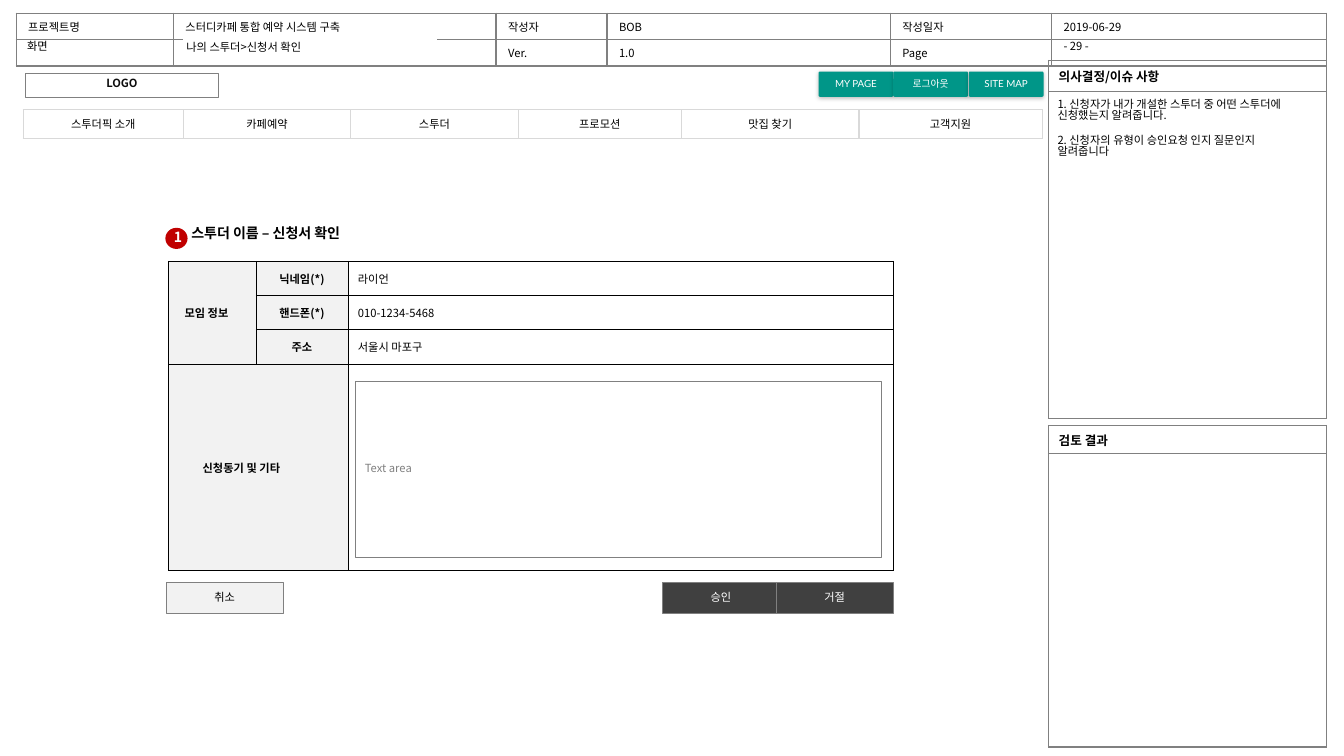
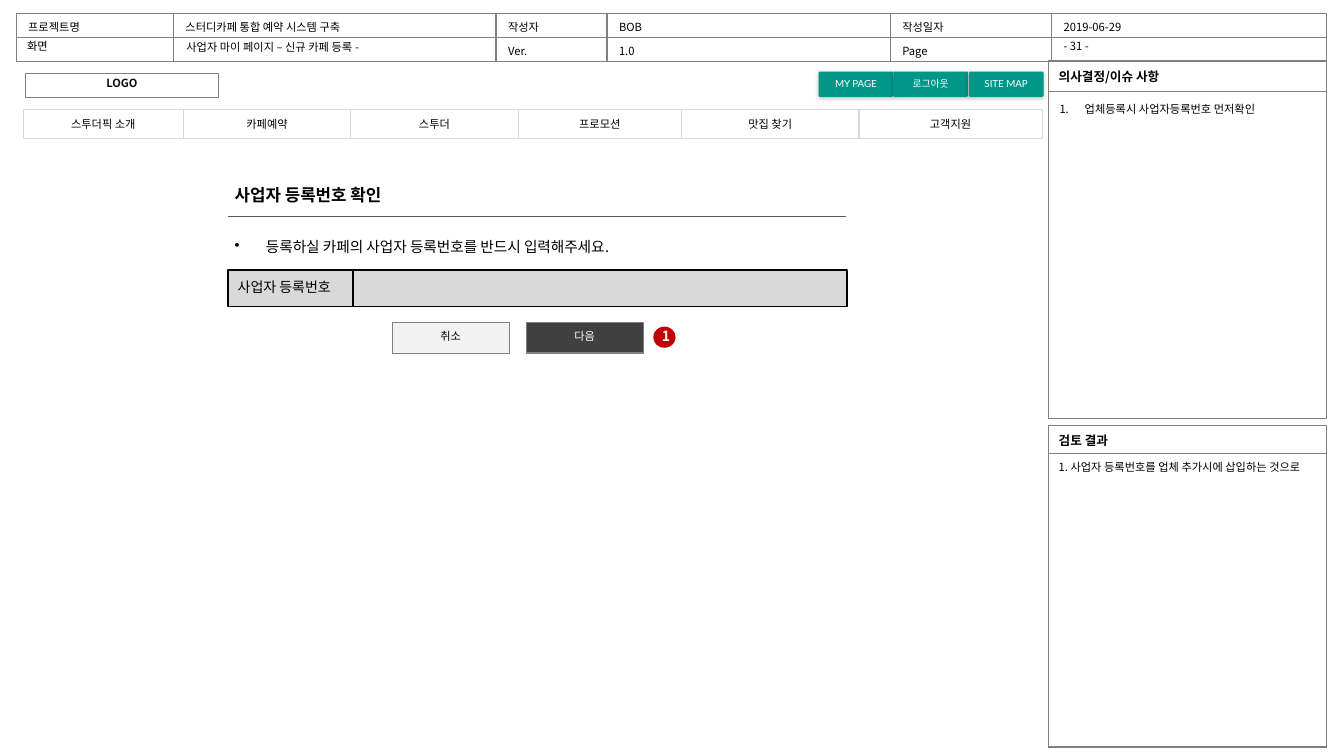
from lxml import etree
from pptx import Presentation
from pptx.dml.color import RGBColor
from pptx.enum.shapes import MSO_CONNECTOR, MSO_SHAPE
from pptx.enum.text import MSO_ANCHOR, PP_ALIGN
from pptx.oxml.ns import qn
from pptx.util import Emu, Pt

PX = 9144  # one px is a hundredth of an inch
KOREAN = "Noto Sans CJK KR"
COLORS = {
    "ink": "000000", "logo": "0D0D0D", "white": "FFFFFF", "gray": "808080",
    "rule": "595959", "dark": "404040", "field": "D9D9D9", "pale": "F2F2F2",
    "teal": "009688", "red": "C00000",
}
LEFT, CENTER, JUSTIFY = PP_ALIGN.LEFT, PP_ALIGN.CENTER, PP_ALIGN.JUSTIFY
TOP, MIDDLE = MSO_ANCHOR.TOP, MSO_ANCHOR.MIDDLE
TIGHT = 0.83  # line spacing outside tables
WIDE_INSET = (12, 5, 12, 5)
INSET = (10, 5, 10, 5)
HEADER_COLUMNS = (156, 320, 110, 281, 160, 273)
MENU_COLUMNS = (159, 166, 166, 162, 176, 182)
MENU = ("스투더픽 소개", "카페예약", "스투더", "프로모션", "맛집 찾기", "고객지원")


def px(*values):
    return [Emu(value * PX) for value in values]


def rgb(color):
    return RGBColor.from_string(COLORS[color])


# Text
def set_values(target, values):
    for name, value in values.items():
        setattr(target, name, value)


def write(para, text, size=8, color="ink", bold=False, font=KOREAN, align=LEFT,
          spacing=TIGHT, before=0):
    set_values(para, {"alignment": align, "line_spacing": spacing})
    if before:
        para.space_before = Pt(before)
    if not text:
        etree.SubElement(para._p, qn("a:endParaRPr"), sz=str(size * 100))
        return
    span = para.add_run()
    span.text = text
    set_values(span.font, {"size": Pt(size), "bold": bold, "name": font})
    span.font.color.rgb = rgb(color)
    east_asian = etree.SubElement(span.font._element, qn("a:ea"))
    east_asian.set("typeface", KOREAN)


def set_margins(target, inset):
    sides = ("margin_left", "margin_top", "margin_right", "margin_bottom")
    set_values(target, dict(zip(sides, px(*inset))))


def set_frame(box, anchor, inset=INSET):
    frame = box.text_frame
    set_values(frame, {"word_wrap": True, "vertical_anchor": anchor})
    set_margins(frame, inset)
    return frame.paragraphs[0]


def add_text(page, area, text, anchor=TOP, **style):
    box = page.shapes.add_textbox(*px(*area))
    para = set_frame(box, anchor)
    write(para, text, **style)
    return box


def add_bullet(para, indent, tag, **attributes):
    properties = para._p.get_or_add_pPr()
    properties.set("marL", str(indent * PX))
    properties.set("indent", str(-indent * PX))
    etree.SubElement(properties, qn(tag), **attributes)


def add_list_item(page, area, text, indent, tag, attributes, **style):
    box = page.shapes.add_textbox(*px(*area))
    para = set_frame(box, TOP)
    add_bullet(para, indent, tag, **attributes)
    write(para, text, **style)


# Shapes and lines
def add_box(page, area, text="", fill=None, line=None, width=0.25,
            kind=MSO_SHAPE.RECTANGLE, anchor=MIDDLE, inset=INSET, **style):
    box = page.shapes.add_shape(kind, *px(*area))
    box.shadow.inherit = False
    if fill:
        box.fill.solid()
        box.fill.fore_color.rgb = rgb(fill)
    else:
        box.fill.background()
    if line:
        box.line.color.rgb = rgb(line)
        box.line.width = Pt(width)
    else:
        box.line.fill.background()
    write(set_frame(box, anchor, inset), text, **{"align": CENTER, **style})
    return box


def add_line(page, start, end, color, width):
    line = page.shapes.add_connector(MSO_CONNECTOR.STRAIGHT, *px(*start, *end))
    line.line.color.rgb = rgb(color)
    line.line.width = Pt(width)
    etree.SubElement(line._element.spPr, qn("a:effectLst"))


def add_button(page, left, top, text, primary=True):
    fill, color = ("dark", "white") if primary else ("pale", "ink")
    add_box(page, (left, top, 116, 30), text, fill, "gray", color=color)


def add_marker(page, left, top, number):
    add_box(page, (left, top, 22, 21), number, "red", kind=MSO_SHAPE.OVAL,
            inset=(3, 0, 0, 0), size=10, color="white", bold=True)


def add_raised_button(page, left, text):
    box = add_box(page, (left, 71, 74, 25), text, "teal",
                  kind=MSO_SHAPE.ROUNDED_RECTANGLE, inset=(8, 5, 8, 5),
                  size=7, color="white", font="Lato")
    box.adjustments[0] = 0.05
    effects = box._element.spPr.find(qn("a:effectLst"))
    shadow = etree.SubElement(effects, qn("a:outerShdw"), blurRad=str(Pt(3)),
                              dist=str(Pt(1)), dir="5400000", rotWithShape="0")
    tint = etree.SubElement(shadow, qn("a:srgbClr"), val=COLORS["ink"])
    etree.SubElement(tint, qn("a:alpha"), val="25000")


# Tables
def set_borders(cell, color, width):
    properties = cell._tc.get_or_add_tcPr()
    for side in ("a:lnL", "a:lnR", "a:lnT", "a:lnB"):
        edge = etree.SubElement(properties, qn(side), w=str(Pt(width)))
        paint = etree.SubElement(edge, qn("a:solidFill"))
        etree.SubElement(paint, qn("a:srgbClr"), val=COLORS[color])


def fill_cell(cell, text="", fill=None, anchor=MIDDLE, inset=INSET,
              border=("gray", 1), **style):
    set_borders(cell, *border)
    if fill:
        cell.fill.solid()
        cell.fill.fore_color.rgb = rgb(fill)
    else:
        cell.fill.background()
    cell.vertical_anchor = anchor
    set_margins(cell, inset)
    write(cell.text_frame.paragraphs[0], text, **{"spacing": 1.0, **style})


def add_grid(page, left, top, columns, rows):
    frame = page.shapes.add_table(len(rows), len(columns),
                                  *px(left, top, sum(columns), sum(rows)))
    table = frame.table
    set_values(table, {"first_row": False, "horz_banding": False})
    for column, width in zip(table.columns, px(*columns)):
        column.width = width
    for row, height in zip(table.rows, px(*rows)):
        row.height = height
    return table


def add_panel(page, top, rows, title, body=""):
    table = add_grid(page, 1040, top, (276,), rows)
    fill_cell(table.cell(0, 0), title, size=9, bold=True)
    fill_cell(table.cell(1, 0), body, anchor=TOP)


# Parts that every page shares
def add_page(deck, title, number, review=""):
    page = deck.slides.add_slide(deck.slide_layouts[6])
    header = add_grid(page, 16, 13, HEADER_COLUMNS, (24, 24))
    labels = (
        ("프로젝트명", "스터디카페 통합 예약 시스템 구축", "작성자", "BOB",
         "작성일자", "2019-06-29"),
        ("", "", "Ver.", "1.0", "Page", ""),
    )
    for row, texts in enumerate(labels):
        for column, text in enumerate(texts):
            fill_cell(header.cell(row, column), text, anchor=TOP, inset=WIDE_INSET,
                      align=JUSTIFY if column == 1 else LEFT)
    add_text(page, (1045, 36, 107, 24), f"- {number} -")
    add_text(page, (17, 36, 60, 24), "화면")
    add_panel(page, 60, (31, 324), "의사결정/이슈 사항")
    add_panel(page, 422, (28, 291), "검토 결과", review)

    menu = add_grid(page, 23, 109, MENU_COLUMNS, (28,))
    for column, text in enumerate(MENU):
        fill_cell(menu.cell(0, column), text, "white", inset=WIDE_INSET,
                  border=("field", 1), align=CENTER)
    add_box(page, (25, 73, 192, 24), "LOGO", line="gray", width=0.75, anchor=TOP,
            color="logo", bold=True)
    add_box(page, (182, 38, 251, 19), fill="white", line="white", width=1)
    add_text(page, (175, 38, 262, 20), title, MIDDLE)
    for left, text in zip((812, 886, 961), ("MY PAGE", "로그아웃", "SITE MAP")):
        add_raised_button(page, left, text)
    return page


# Pages
def add_application_form(page):
    form = add_grid(page, 167, 259, (87, 91, 541), (34, 34, 34, 205))
    border = ("ink", 0.25)
    form.cell(0, 0).merge(form.cell(2, 0))
    form.cell(3, 0).merge(form.cell(3, 1))
    rows = (
        ("모임 정보", "닉네임(*)", "라이언"),
        ("", "핸드폰(*)", "010-1234-5468"),
        ("", "주소", "서울시 마포구"),
        ("신청동기 및 기타", "", ""),
    )
    for row, (group, label, value) in enumerate(rows):
        group_inset = (34 if row == 3 else 16, 5, 10, 5)
        fill_cell(form.cell(row, 0), group, "pale", inset=group_inset,
                  border=border, bold=True)
        fill_cell(form.cell(row, 1), label, "pale", border=border, bold=True,
                  align=CENTER)
        fill_cell(form.cell(row, 2), value, "white", border=border)
    add_box(page, (352, 378, 522, 175), "Text area", "white", "gray",
            color="gray", align=LEFT)


def build_application_page(deck):
    page = add_page(deck, "나의 스투더>신청서 확인", 29)
    add_text(page, (180, 221, 249, 27), "스투더 이름 – 신청서 확인", size=10, bold=True)
    add_marker(page, 164, 226, "1")
    add_application_form(page)
    add_button(page, 165, 578, "취소", primary=False)
    add_button(page, 657, 578, "승인")
    add_button(page, 770, 578, "거절")
    notes = add_text(page, (1039, 94, 262, 275),
                     "1. 신청자가 내가 개설한 스투더 중 어떤 스투더에 신청했는지 알려줍니다.")
    for text, before in (("2. 신청자의 유형이 승인요청 인지 질문인지", 9.6),
                         ("알려줍니다", 0)):
        write(notes.text_frame.add_paragraph(), text, before=before)


def build_registration_page(deck):
    page = add_page(deck, "사업자 마이 페이지 – 신규 카페 등록 -", 31,
                    "1. 사업자 등록번호를 업체 추가시에 삽입하는 것으로")
    add_list_item(page, (1041, 99, 251, 134), "업체등록시 사업자등록번호 먼저확인",
                  25, "a:buAutoNum", {"type": "arabicPeriod"})
    add_text(page, (223, 182, 203, 30), "사업자 등록번호 확인", size=12, bold=True)
    add_line(page, (226, 215), (839, 215), "rule", 0.5)
    add_list_item(page, (223, 234, 676, 29),
                  "등록하실 카페의 사업자 등록번호를 반드시 입력해주세요.",
                  31, "a:buChar", {"char": "•"}, size=10.5)
    add_box(page, (226, 268, 614, 36), "사업자 등록번호", "field", "ink", 1,
            size=10, align=LEFT)
    add_line(page, (350, 304), (350, 268), "ink", 1)
    add_button(page, 389, 320, "취소", primary=False)
    add_button(page, 522, 320, "다음")
    add_marker(page, 648, 324, "1")


def main():
    deck = Presentation()
    deck.slide_width, deck.slide_height = px(1333, 750)
    build_application_page(deck)
    build_registration_page(deck)
    deck.save("out.pptx")


if __name__ == "__main__":
    main()
